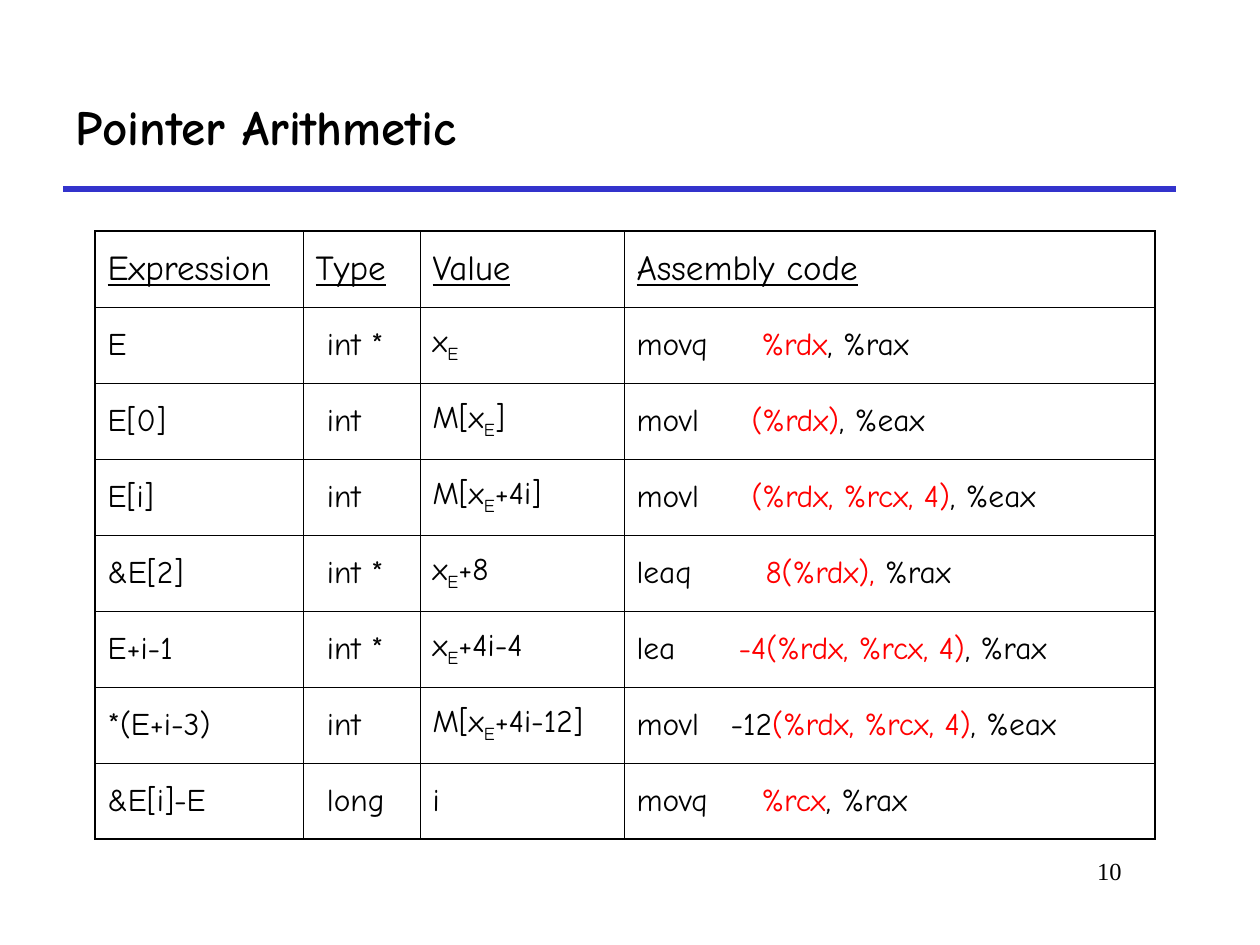
"""Build the slide on pointer arithmetic and its assembly code."""
import pptx
import pptx.dml.color
import pptx.enum.shapes
import pptx.enum.text
import pptx.oxml.ns
import pptx.util
from lxml import etree

EMU_PER_PIXEL = 914400 / 126
BLACK = pptx.dml.color.RGBColor(0, 0, 0)
RED = pptx.dml.color.RGBColor(0xFF, 0, 0)
BLUE = pptx.dml.color.RGBColor(0x33, 0x33, 0xCC)
BODY_FONT = "Comic Neue"
MIDDLE = pptx.enum.text.MSO_ANCHOR.MIDDLE

HEADINGS = ["Expression", "Type", "Value", "Assembly code"]
COLUMN_WIDTHS = [208, 117, 204, 531]
ROW_HEIGHT = 76
TYPE_MARGIN = 24
THIN, THICK = 0.45, 1.08

# expression, type, value before/subscript/after, mnemonic, operand offset, plain/red/black operands
EXPRESSIONS = [
    ("E", "int *", ("x", "E", ""), "movq", 125, ("", "%rdx", ", %rax")),
    ("E[0]", "int", ("M[x", "E", "]"), "movl", 115, ("", "(%rdx)", ", %eax")),
    ("E[i]", "int", ("M[x", "E", "+4i]"), "movl", 115, ("", "(%rdx, %rcx, 4)", ", %eax")),
    ("&E[2]", "int *", ("x", "E", "+8"), "leaq", 129, ("", "8(%rdx),", " %rax")),
    ("E+i-1", "int *", ("x", "E", "+4i-4"), "lea", 102, ("", "-4(%rdx, %rcx, 4)", ", %rax")),
    ("*(E+i-3)", "int", ("M[x", "E", "+4i-12]"), "movl", 94, ("-12", "(%rdx, %rcx, 4)", ", %eax")),
    ("&E[i]-E", "long", ("i", "", ""), "movq", 125, ("", "%rcx", ", %rax")),
]


def px(length):
    """Turn picture pixels into EMU."""
    return pptx.util.Emu(round(length * EMU_PER_PIXEL))


def style_run(run, size, color=BLACK, name=BODY_FONT, bold=False):
    """Set the font of one run."""
    run.font.size = pptx.util.Pt(size)
    run.font.name = name
    run.font.bold = bold
    run.font.color.rgb = color


def add_run(paragraph, text, color=BLACK, subscript=False):
    """Append a table body run, skipping empty text."""
    if not text:
        return
    run = paragraph.add_run()
    run.text = text
    style_run(run, 18, color)
    if subscript:
        run.font._element.set("baseline", "-25000")


def add_label(slide, box, text, size, name=BODY_FONT, bold=False, align=None, anchor=None):
    """Add a one-line text box."""
    label = slide.shapes.add_textbox(*map(px, box))
    frame = label.text_frame
    frame.text = text
    frame.word_wrap = True
    frame.vertical_anchor = anchor
    frame.paragraphs[0].alignment = align
    style_run(frame.paragraphs[0].runs[0], size, name=name, bold=bold)


def add_rule(slide, left, right, y):
    """Draw the line under the title."""
    rule = slide.shapes.add_connector(
        pptx.enum.shapes.MSO_CONNECTOR.STRAIGHT, px(left), px(y), px(right), px(y))
    rule.line.color.rgb = BLUE
    rule.line.width = pptx.util.Pt(3)
    etree.SubElement(rule._element.spPr, pptx.oxml.ns.qn("a:effectLst"))


def set_borders(cell, widths):
    """Draw black cell borders from a mapping of side to points."""
    properties = cell._tc.get_or_add_tcPr()
    for side, points in widths.items():
        border = etree.SubElement(properties, pptx.oxml.ns.qn(f"a:ln{side}"),
                                  w=str(pptx.util.Pt(points)))
        fill = etree.SubElement(border, pptx.oxml.ns.qn("a:solidFill"))
        etree.SubElement(fill, pptx.oxml.ns.qn("a:srgbClr"), val=str(BLACK))


def set_tab(paragraph, offset):
    """Place one left tab stop."""
    stops = etree.SubElement(paragraph._p.get_or_add_pPr(), pptx.oxml.ns.qn("a:tabLst"))
    etree.SubElement(stops, pptx.oxml.ns.qn("a:tab"), pos=str(px(offset)), algn="l")


def format_cells(table):
    """Give every cell its borders, anchor and spacing."""
    last_row, last_column = len(table.rows) - 1, len(table.columns) - 1
    for r in range(last_row + 1):
        for c in range(last_column + 1):
            cell = table.cell(r, c)
            set_borders(cell, {
                "L": THIN if c else THICK,
                "R": THICK if c == last_column else THIN,
                "T": THIN if r else THICK,
                "B": THICK if r == last_row else THIN,
            })
            cell.fill.background()
            cell.vertical_anchor = MIDDLE
            cell.text_frame.paragraphs[0].space_before = pptx.util.Pt(4.5 if r else 5)


def fill_headings(table):
    """Write the underlined heading row."""
    for cell, heading in zip(table.rows[0].cells, HEADINGS):
        paragraph = cell.text_frame.paragraphs[0]
        paragraph.text = heading
        style_run(paragraph.runs[0], 20)
        paragraph.runs[0].font.underline = True


def fill_expression(row, entry):
    """Write one expression row."""
    expression, kind, value, mnemonic, offset, operands = entry
    cells = list(row.cells)
    cells[1].margin_left = px(TYPE_MARGIN)
    names, kinds, values, code = [cell.text_frame.paragraphs[0] for cell in cells]
    add_run(names, expression)
    add_run(kinds, kind)
    for text, subscript in zip(value, (False, True, False)):
        add_run(values, text, subscript=subscript)
    set_tab(code, offset)
    plain, address, target = operands
    add_run(code, f"{mnemonic}\t{plain}")
    add_run(code, address, RED)
    add_run(code, target)


def add_expression_table(slide, left, top):
    """Add the table of pointer expressions."""
    row_count = len(EXPRESSIONS) + 1
    frame = slide.shapes.add_table(
        row_count, len(COLUMN_WIDTHS), px(left), px(top),
        px(sum(COLUMN_WIDTHS)), px(row_count * ROW_HEIGHT))
    table = frame.table
    table.first_row = False
    table.horz_banding = False
    for column, width in zip(table.columns, COLUMN_WIDTHS):
        column.width = px(width)
    for row in table.rows:
        row.height = px(ROW_HEIGHT)
    format_cells(table)
    fill_headings(table)
    for row, entry in zip(list(table.rows)[1:], EXPRESSIONS):
        fill_expression(row, entry)


def main():
    """Build and save the slide."""
    deck = pptx.Presentation()
    deck.slide_width, deck.slide_height = px(1260), px(945)
    slide = deck.slides.add_slide(deck.slide_layouts[6])
    add_rule(slide, 63, 1176, 189)
    add_label(slide, (955, 850, 179, 63), "10", 14, name="Times New Roman",
              align=pptx.enum.text.PP_ALIGN.RIGHT)
    add_label(slide, (63, 63, 1113, 126), "Pointer Arithmetic", 28, bold=True, anchor=MIDDLE)
    add_expression_table(slide, 95, 231)
    deck.save("out.pptx")


main()
